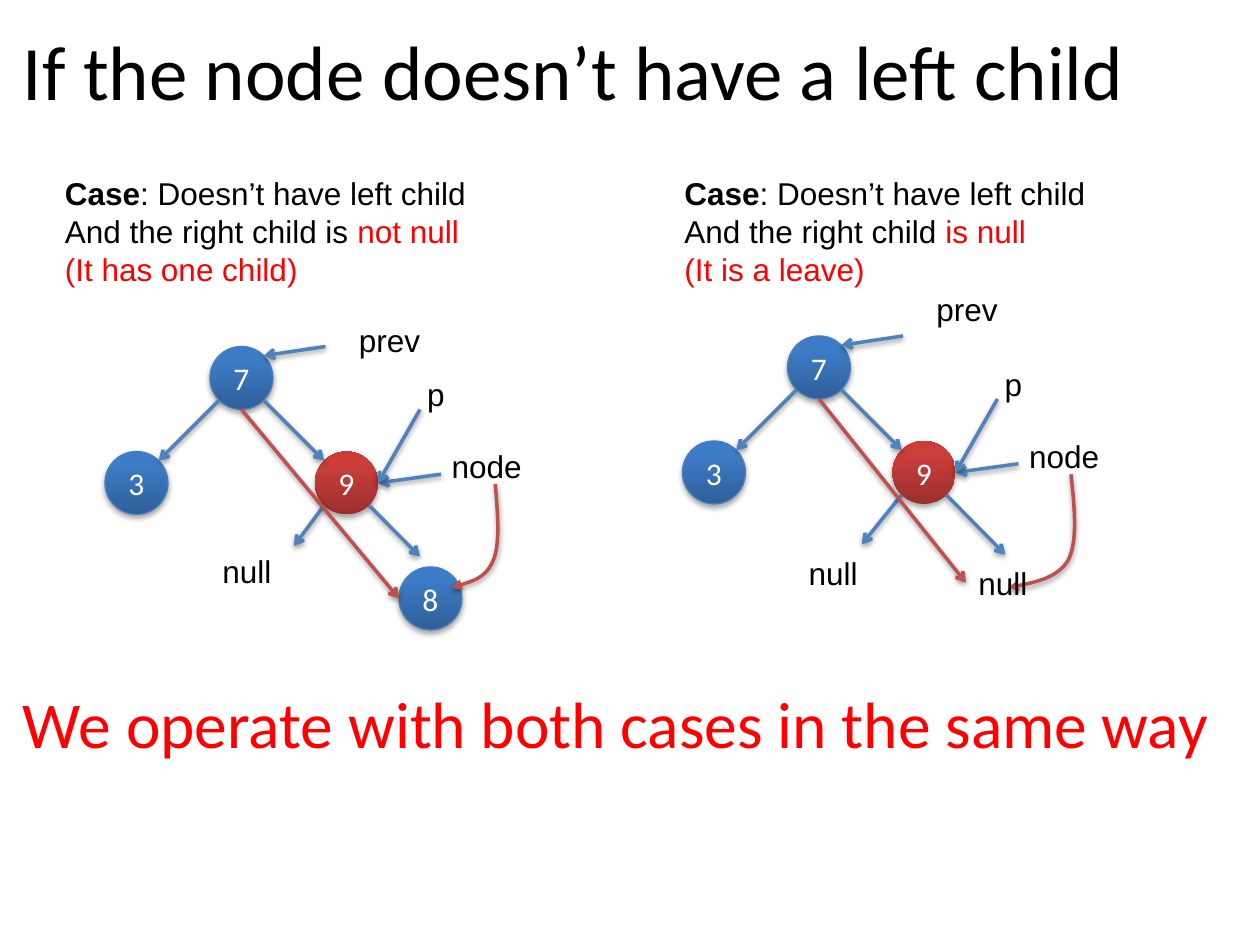
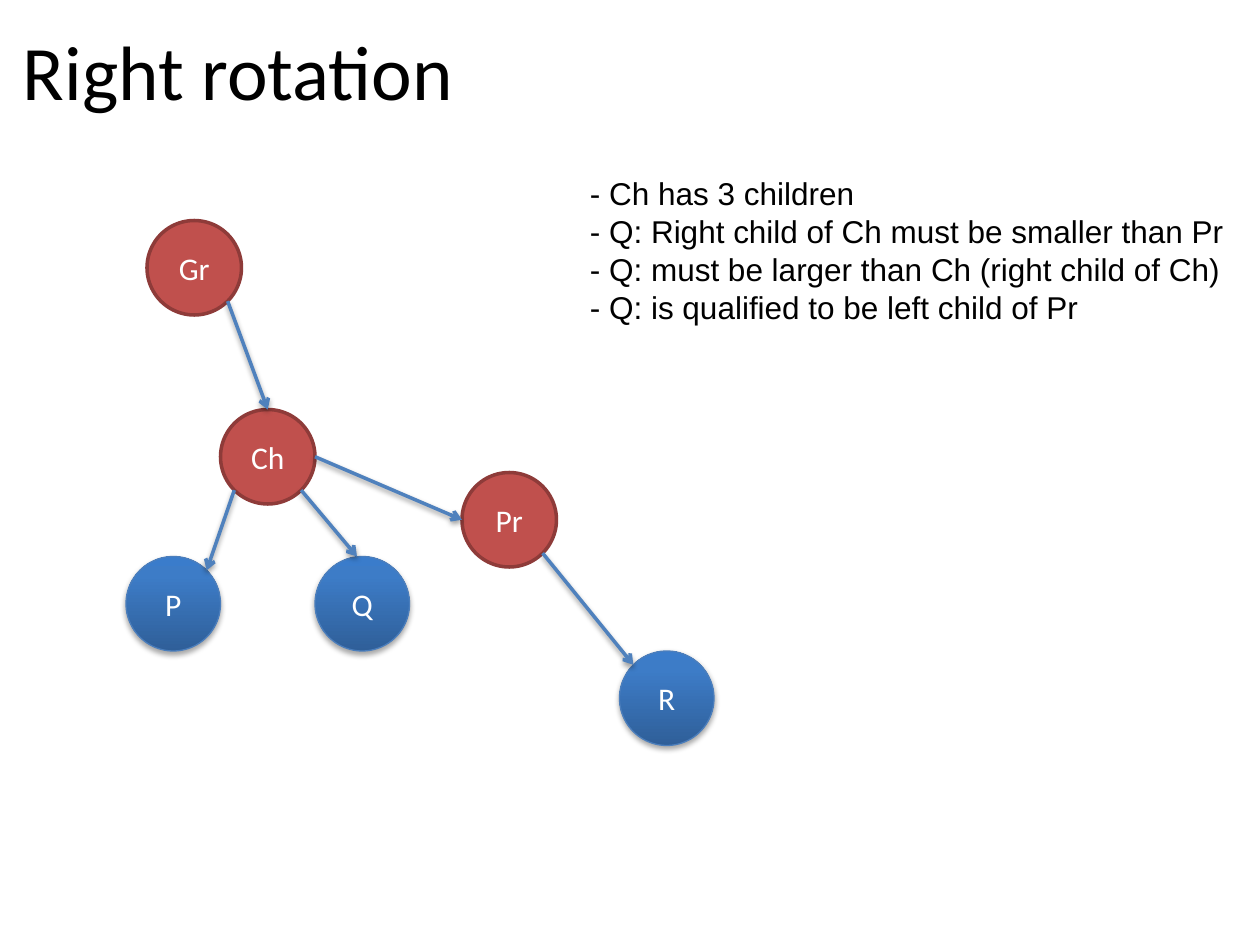
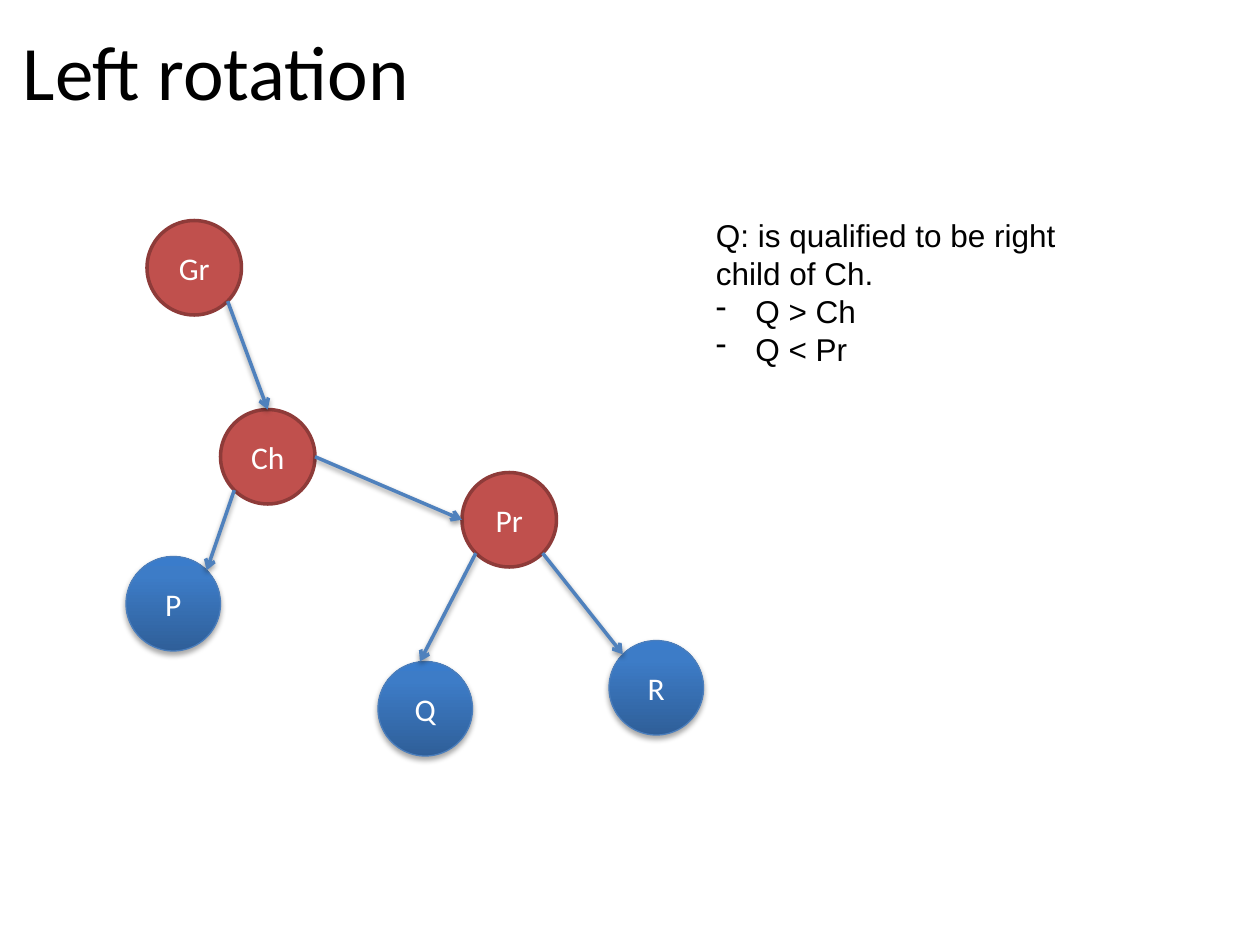
from copy import deepcopy
from dataclasses import dataclass
from math import cos, radians, sin
from lxml.etree import SubElement
from pptx import Presentation
from pptx.dml.color import RGBColor
from pptx.enum.shapes import MSO_CONNECTOR, MSO_SHAPE
from pptx.enum.text import MSO_ANCHOR, MSO_AUTO_SIZE, PP_ALIGN
from pptx.oxml.ns import qn
from pptx.util import Pt


@dataclass(frozen=True)
class Theme:
    black: str = "000000"
    white: str = "FFFFFF"
    alert: str = "FF0000"
    blue: str = "4F81BD"
    red: str = "C0504D"
    rim: str = "8E3B39"
    edge: str = "4B7EBC"
    cool: tuple = ("2F5F99", "3D7CC7", "3A7CCB")
    warm: tuple = ("9C2F2D", "CB3E3A", "CE3B37")
    stops: tuple = (0, 0.8, 1)
    head: str = "Calibri"
    body: str = "Arial"
    title: float = 44
    claim: float = 37.4
    text: float = 18
    line: float = 2
    thin: float = 0.75


look = Theme()
hue = RGBColor.from_string


def write(frame, lines, face, size):
    for row, runs in enumerate(lines):
        para = frame.add_paragraph() if row else frame.paragraphs[0]
        for words, color, bold in runs:
            run = para.add_run()
            run.text = words
            run.font.name = face
            run.font.size = Pt(size)
            run.font.bold = bold
            run.font.color.rgb = hue(color)


def finish(shape, alpha, drop, tip=None):
    props = shape.element.spPr
    if tip:
        SubElement(props.find(qn("a:ln")), qn("a:tailEnd"), type=tip)
    for old in props.findall(qn("a:effectLst")):
        props.remove(old)
    cast = SubElement(
        SubElement(props, qn("a:effectLst")), qn("a:outerShdw"),
        blurRad=str(Pt(3.15)), dist=str(Pt(drop)), dir="5400000", rotWithShape="0")
    shade = SubElement(cast, qn("a:srgbClr"), val=look.black)
    SubElement(shade, qn("a:alpha"), val=str(alpha * 1000))


plain = lambda words: [(words, look.black, False)]

cases, notes = [], []
for dx, dy, lift, left, right, fall, tags in (
    (0, 0, 0, (168, 312), (240, 318), ("8", 2), [(120, 312)]),
    (330, -6, -12, (492.5, 311), (574.5, 317), (552, 333), [(455, 313), (552, 319)]),
):
    nodes = {
        "7": (120 + dx, 198 + dy, "cool"),
        "3": (60 + dx, 258 + dy, "cool"),
        "9": (180 + dx, 258 + dy, "warm"),
    }
    if not dx:
        nodes["8"] = (228, 324, "cool")
    links = [
        (("7", 3), ("3", 7), look.blue),
        (("7", 5), ("9", 1), look.blue),
        (("9", 3), left, look.blue),
        ((186 + dx, 198 + dy), ("7", 7), look.blue),
        ((252 + dx, 271 + dy), ("9", 6), look.blue),
        ((240 + dx, 234 + dy), ("9", 6), look.blue),
        (("9", 5), right, look.blue),
        (("7", 4), fall, look.red),
    ]
    cases.append((36, nodes, links))
    notes += [
        ((198 + dx, 180 + dy + lift, 51, 29), [plain("prev")]),
        ((251 + dx, 252 + dy, 55, 29), [plain("node")]),
        ((237 + dx, 211 + dy, 24, 29), [plain("p")]),
    ]
    notes += [((x, y, 42.5, 29), [plain("null")]) for x, y in tags]

for x, lead, stress, last in (
    (30, "And the right child is ", "not null", "(It has one child)"),
    (384, "And the right child ", "is null", "(It is a leave)"),
):
    notes.append(((x, 96, 247, 73), [
        [("Case", look.black, True), (": Doesn’t have left child", look.black, False)],
        [(lead, look.black, False), (stress, look.alert, False)],
        [(last, look.alert, False)],
    ]))

curves = [
    [(283, 276.5), (284.5, 294), (286, 312), (281.5, 321),
     (277, 331), (258, 336), (258, 336)],
    [(612, 271), (614, 289.5), (616, 309), (610.5, 320),
     (604, 331), (576, 336), (576, 336)],
]

turns = []
for quad, leaf, link in (
    ((180, 318), (354, 372), (("Ch", 5), (204, 318), look.blue)),
    ((216, 378), (348, 366), (("Pr", 3), (240, 378), look.blue)),
):
    nodes = {
        "Gr": (84, 126, "flat"),
        "Pr": (264, 270, "flat"),
        "Ch": (126, 234, "flat"),
        "P": (72, 318, "cool"),
        "Q": (*quad, "cool"),
        "R": (*leaf, "cool"),
    }
    links = [
        (("Gr", 5), ("Ch", 0), look.blue),
        (("Ch", 3), ("P", 7), look.blue),
        link,
        (("Pr", 5), ("R", 1), look.blue),
        (("Ch", 6), ("Pr", 2), look.blue),
    ]
    turns.append((54, nodes, links))

rules = [((330, 96, 380, 116.5), [plain(words) for words in (
    "- Ch has 3 children",
    "- Q: Right child of Ch must be smaller than Pr",
    "- Q: must be larger than Ch (right child of Ch)",
    "- Q: is qualified to be left child of Pr",
)])]

deck = Presentation()
deck.slide_width, deck.slide_height = Pt(720), Pt(540)

for title, trees, labels, bends in (
    ("If the node doesn’t have a left child", cases, notes, curves),
    ("Right rotation", turns[:1], rules, []),
    ("Left rotation", turns[1:], [], []),
):
    slide = deck.slides.add_slide(deck.slide_layouts[6])
    shapes = slide.shapes
    frame = shapes.add_textbox(Pt(6), Pt(6), Pt(702), Pt(68)).text_frame
    frame.word_wrap = True
    frame.vertical_anchor = MSO_ANCHOR.MIDDLE
    write(frame, [plain(title)], look.head, look.title)

    for size, nodes, links in trees:
        for name, (x, y, kind) in nodes.items():
            node = shapes.add_shape(MSO_SHAPE.OVAL, Pt(x), Pt(y), Pt(size), Pt(size))
            node.shadow.inherit = False
            if kind == "flat":
                node.fill.solid()
                node.fill.fore_color.rgb = hue(look.red)
                node.line.color.rgb = hue(look.rim)
                node.line.width = Pt(look.line)
            else:
                node.fill.gradient()
                node.fill.gradient_angle = 90
                stops = node.element.spPr.find(".//" + qn("a:gsLst"))
                stops.append(deepcopy(stops[-1]))
                tones = look.cool if kind == "cool" else look.warm
                for stop, tone, place in zip(node.fill.gradient_stops, tones, look.stops):
                    stop.color.rgb = hue(tone)
                    stop.position = place
                if kind == "cool":
                    node.line.color.rgb = hue(look.edge)
                    node.line.width = Pt(look.thin)
                else:
                    node.line.fill.background()
                finish(node, 35, 1.8)
            frame = node.text_frame
            frame.vertical_anchor = MSO_ANCHOR.MIDDLE
            write(frame, [[(name, look.white, False)]], look.head, look.text)
            frame.paragraphs[0].alignment = PP_ALIGN.CENTER

        for start, end, color in links:
            ends = []
            for spot in (start, end):
                if isinstance(spot[0], str):
                    x, y, kind = nodes[spot[0]]
                    turn = radians(90 + 45 * spot[1])
                    half = size / 2
                    spot = (x + half + half * cos(turn), y + half - half * sin(turn))
                ends += [Pt(value) for value in spot]
            link = shapes.add_connector(MSO_CONNECTOR.STRAIGHT, *ends)
            link.line.color.rgb = hue(color)
            link.line.width = Pt(look.line)
            finish(link, 38, 1.6, "arrow")

    for bend in bends:
        points = [(Pt(x), Pt(y)) for x, y in bend]
        pen = shapes.build_freeform(*points[0])
        pen.add_line_segments(points[1:], close=False)
        curve = pen.convert_to_shape()
        curve.fill.background()
        curve.line.color.rgb = hue(look.red)
        curve.line.width = Pt(look.line)
        parts = curve.element.spPr.findall(".//" + qn("a:lnTo"))
        track = parts[0].getparent()
        for first in range(0, len(parts), 3):
            arc = SubElement(track, qn("a:cubicBezTo"))
            for part in parts[first:first + 3]:
                arc.append(part[0])
                track.remove(part)
        finish(curve, 38, 1.6, "triangle")

    for box, lines in labels:
        frame = shapes.add_textbox(*map(Pt, box)).text_frame
        frame.word_wrap = False
        frame.auto_size = MSO_AUTO_SIZE.SHAPE_TO_FIT_TEXT
        write(frame, lines, look.body, look.text)

claim = deck.slides[0].shapes.add_textbox(Pt(6), Pt(387), Pt(702), Pt(68)).text_frame
claim.word_wrap = True
write(claim, [[("We operate with both cases in the same way", look.alert, False)]],
      look.head, look.claim)

proof = deck.slides[2].shapes.add_textbox(Pt(402), Pt(120), Pt(228), Pt(94)).text_frame
proof.word_wrap = True
proof.auto_size = MSO_AUTO_SIZE.SHAPE_TO_FIT_TEXT
write(proof, [plain("Q: is qualified to be right child of Ch."), plain("Q > Ch"), plain("Q < Pr")],
      look.body, look.text)
for para in proof.paragraphs[1:]:
    props = para._p.get_or_add_pPr()
    props.set("marL", str(Pt(22.5)))
    props.set("indent", str(Pt(-22.5)))
    SubElement(props, qn("a:buChar"), char="-")

deck.save("out.pptx")
